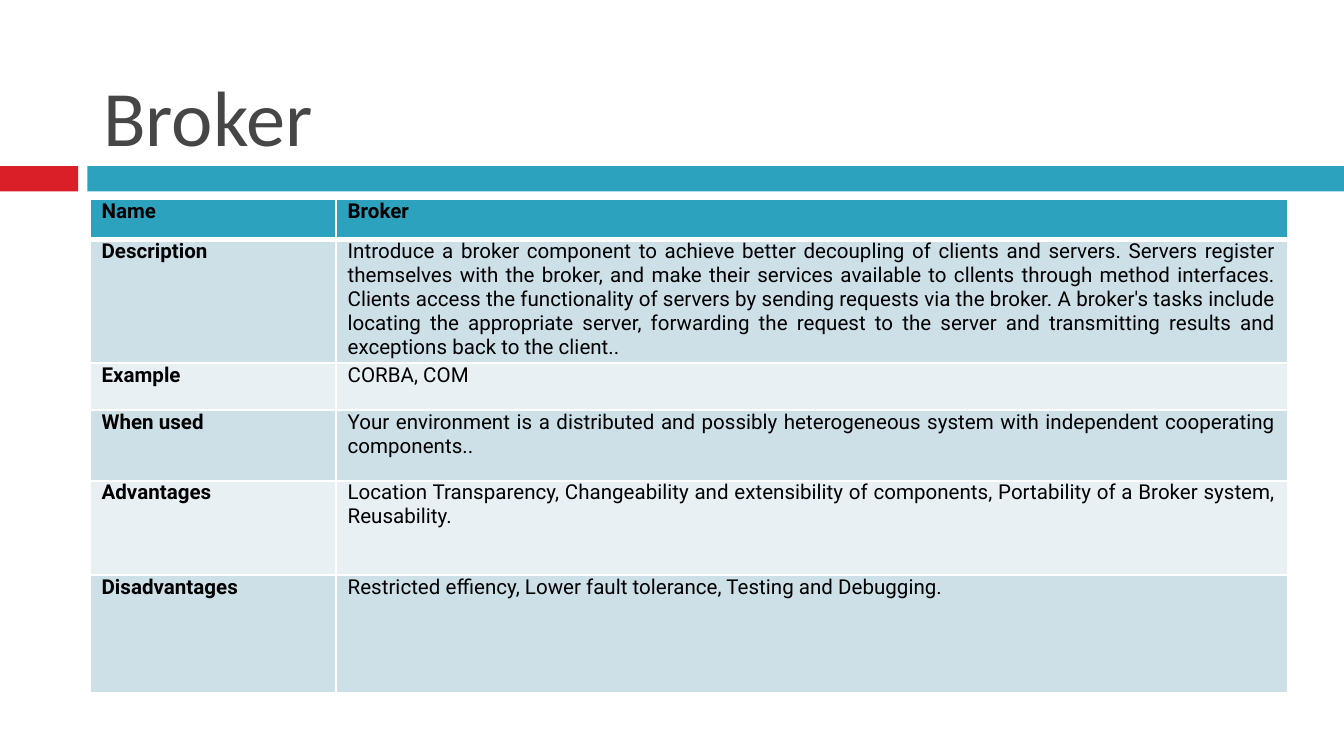
from pptx import Presentation
from pptx.dml.color import RGBColor
from pptx.enum.shapes import MSO_SHAPE as SHAPE
from pptx.enum.text import MSO_ANCHOR as ANCHOR, PP_ALIGN as ALIGN
from pptx.oxml import parse_xml
from pptx.oxml.ns import nsdecls
from pptx.util import Cm, Pt


def rgb(color):
    return RGBColor.from_string(color)


def write(tf, text, align, color, fmt):
    p = tf.paragraphs[0]
    p.alignment = align
    r = p.add_run()
    r.text = text
    r.font.color.rgb = rgb(color)
    for name, value in fmt.items():
        setattr(r.font, name, value)


prs = Presentation()
prs.slide_width, prs.slide_height = Cm(25.4), Cm(14.29)
s = prs.slides.add_slide(prs.slide_layouts[6])

for left, width, color in [(0, 1.48, "DA1F28"), (1.65, 23.75, "2DA2BF")]:
    sp = s.shapes.add_shape(SHAPE.RECTANGLE, Cm(left), Cm(3.14), Cm(width), Cm(0.48))
    sp.shadow.inherit = False
    sp.fill.solid()
    sp.fill.fore_color.rgb = rgb(color)
    sp.line.fill.background()

sp = s.shapes.add_textbox(Cm(1.7), Cm(0.33), Cm(22.66), Cm(2.79))
tf = sp.text_frame
for name, value in {
    "word_wrap": True,
    "vertical_anchor": ANCHOR.BOTTOM,
    "margin_bottom": Cm(0.05),
}.items():
    setattr(tf, name, value)
write(tf, "Broker", ALIGN.LEFT, "464646", {"size": Pt(42), "name": "Calibri"})

rows = [
    (0.76, "Name", "Broker"),
    (1.78, "Description",
     "Introduce a broker component to achieve better decoupling of clients and servers. "
     "Servers register themselves with the broker, and make their services available to "
     "cllents through method interfaces. Clients access the functionality of servers by "
     "sending requests via the broker. A broker's tasks include locating the appropriate "
     "server, forwarding the request to the server and transmitting results and "
     "exceptions back to the client.. "),
    (0.89, "Example", "CORBA, COM"),
    (1.34, "When used",
     "Your environment is a distributed and possibly heterogeneous system with "
     "independent cooperating components.."),
    (1.78, "Advantages",
     "Location Transparency, Changeability and extensibility of components, "
     "Portability of a Broker system, Reusability."),
    (2.22, "Disadvantages",
     "Restricted effiency, Lower fault tolerance, Testing and Debugging."),
]
widths = [4.65, 17.99]
height = sum(row[0] for row in rows)
table = s.shapes.add_table(
    len(rows), len(widths), Cm(1.7), Cm(3.77), Cm(sum(widths)), Cm(height)
).table
for col, width in zip(table.columns, widths):
    col.width = Cm(width)

margins = {
    "margin_left": Cm(0.22),
    "margin_right": Cm(0.22),
    "margin_top": 0,
    "margin_bottom": 0,
}
for i, (row_height, *texts) in enumerate(rows):
    table.rows[i].height = Cm(row_height)
    color = "2DA2BF" if i == 0 else ("E8F0F4", "CDE0E8")[i % 2]
    for j, text in enumerate(texts):
        cell = table.cell(i, j)
        for name, value in margins.items():
            setattr(cell, name, value)
        tcPr = cell._tc.get_or_add_tcPr()
        for side in "LRTB":
            weight = Pt(3 if i == 0 and side == "B" else 1)
            tcPr.append(parse_xml(
                f'<a:ln{side} {nsdecls("a")} w="{weight}"><a:solidFill>'
                f'<a:srgbClr val="FFFFFF"/></a:solidFill></a:ln{side}>'
            ))
        cell.fill.solid()
        cell.fill.fore_color.rgb = rgb(color)
        fmt = {"size": Pt(11), "name": "Roboto", "bold": i == 0 or j == 0}
        write(cell.text_frame, text, ALIGN.JUSTIFY, "000000", fmt)

prs.save("out.pptx")
